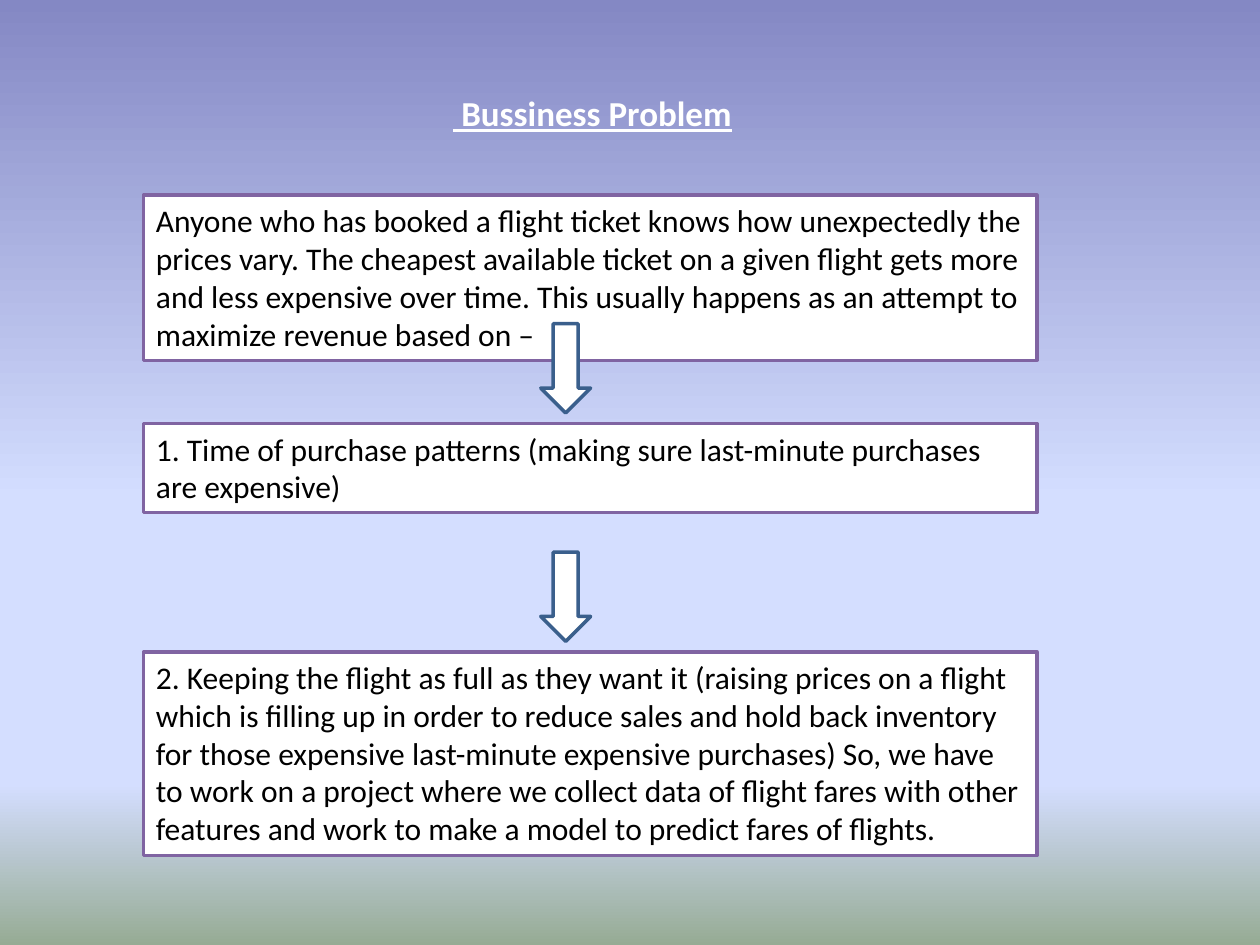
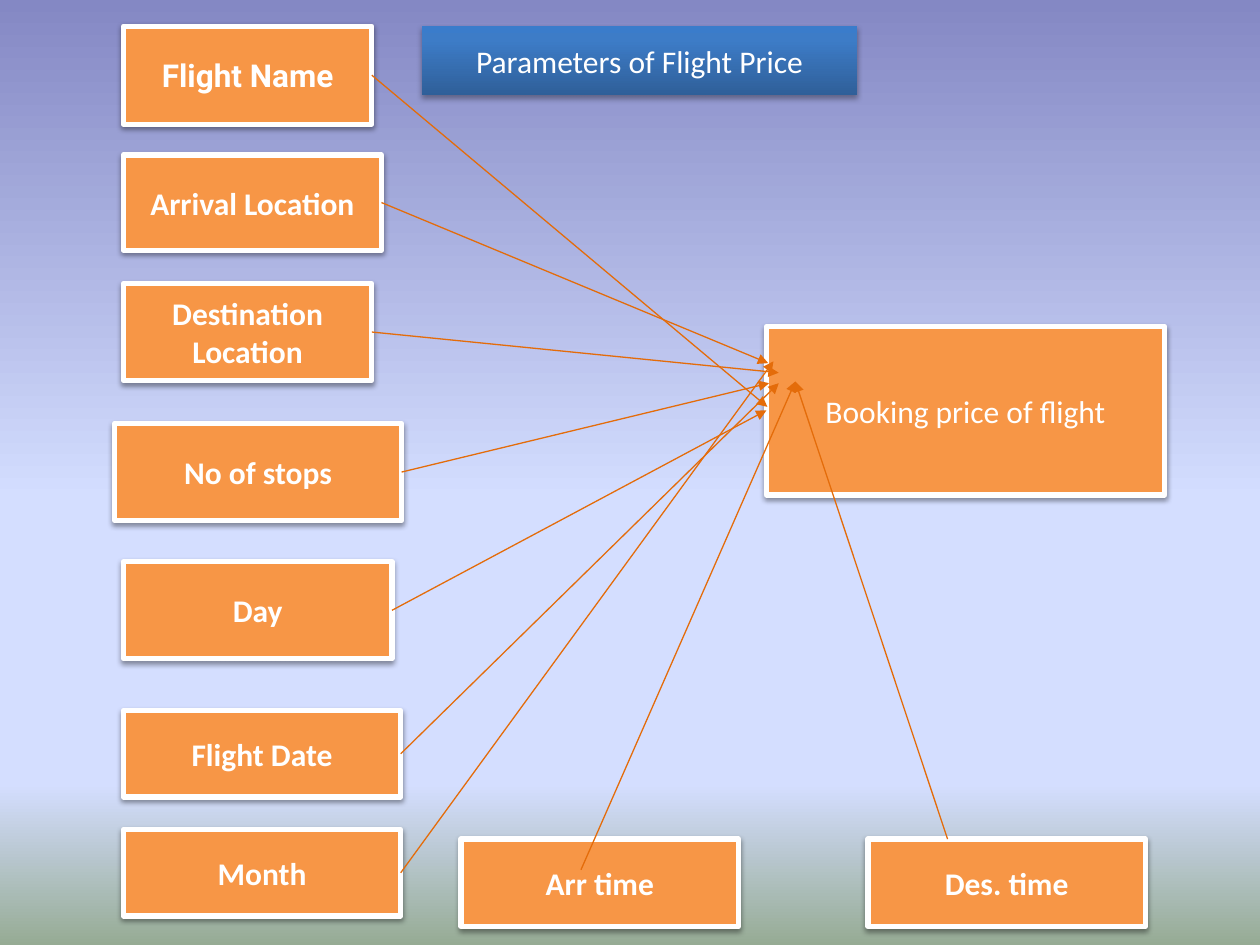
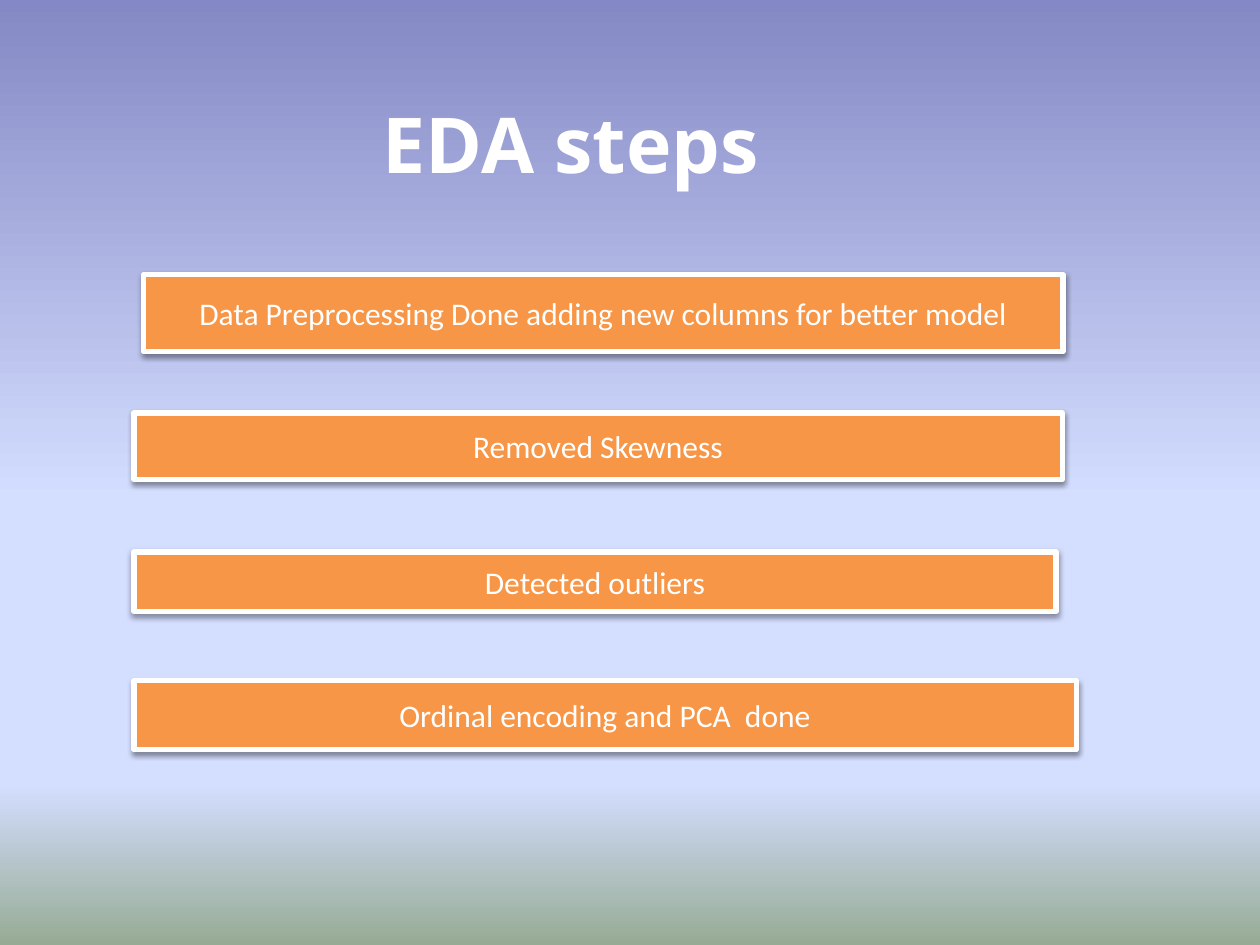
from lxml.etree import SubElement
from pptx import Presentation
from pptx.dml.color import RGBColor
from pptx.enum.shapes import MSO_CONNECTOR, MSO_SHAPE
from pptx.enum.text import MSO_ANCHOR, PP_ALIGN
from pptx.oxml.ns import qn
from pptx.util import Pt

COLORS = {
    "white": "FFFFFF", "black": "000000", "orange": "F79646",
    "arrow": "E46C0A", "purple": "8064A2", "blue": "3A5F8C",
}
SKY = [(0, "8488C4"), (53, "D4DEFF"), (83, "D4DEFF"), (100, "96AB94")]
BANNER = [(0, "2F5F99"), (80, "3D7CC7"), (100, "3A7CCB")]

PROBLEM_STEPS = [
    ("Anyone who has booked a flight ticket knows how unexpectedly the prices "
     "vary. The cheapest available ticket on a given flight gets more and less "
     "expensive over time. This usually happens as an attempt to maximize "
     "revenue based on –", 94.5),
    ("1. Time of purchase patterns (making sure last-minute purchases are "
     "expensive)", 51),
    ("2. Keeping the flight as full as they want it (raising prices on a flight "
     "which is filling up in order to reduce sales and hold back inventory for "
     "those expensive last-minute expensive purchases) So, we have to work on a "
     "project where we collect data of flight fares with other features and work "
     "to make a model to predict fares of flights.", 116.5),
]
# label, box (left, top, width, height), arrow tip, font
PARAMETERS = [
    ("Flight Name", (70.5, 15, 142, 56), (438.5, 232.5), "Roboto"),
    ("Arrival Location", (70.5, 88.5, 147.5, 54.5), (439, 207.5), "Calibri"),
    ("Destination Location", (70.5, 162, 142, 55.5), (445, 213), "Calibri"),
    ("No of stops", (65.5, 242, 164, 55.5), (439.5, 219), "Calibri"),
    ("Day", (70.5, 321, 153.5, 55.5), (438, 234.5), "Calibri"),
    ("Flight Date", (70.5, 406, 158.5, 49.5), (445, 219), "Calibri"),
    ("Month", (70.5, 474, 158.5, 49.5), (442, 206.5), "Calibri"),
]
# label, left, arrow start
TIMES = [("Arr time", 263.5, (332, 497)), ("Des. time", 496, (541.5, 479.5))]
TIMES_TIP = (454.5, 218)
EDA_STEPS = [
    ("Data Preprocessing Done adding new columns for better model",
     (82, 157, 525.5, 44)),
    ("Removed Skewness", (76.5, 236, 530.5, 38)),
    ("Detected outliers", (76.5, 315.5, 527, 34)),
    ("Ordinal encoding and PCA  done", (76.5, 389, 538.5, 39.5)),
]


def rgb(name):
    return RGBColor.from_string(COLORS[name])


def set_gradient(fill, owner, stops, angle):
    """Fill with stops of (percent, hex); the angle runs clockwise."""
    fill.gradient()
    grad = next(owner.iter(qn("a:gradFill")))
    for child in list(grad):
        grad.remove(child)
    gs_lst = SubElement(grad, qn("a:gsLst"))
    for percent, color in stops:
        gs = SubElement(gs_lst, qn("a:gs"), pos=str(percent * 1000))
        SubElement(gs, qn("a:srgbClr"), val=color)
    SubElement(grad, qn("a:lin"), ang=str(angle * 60000), scaled="0")


def add_shadow(sp, alpha, dist):
    effects = sp.element.spPr.find(qn("a:effectLst"))
    shadow = SubElement(effects, qn("a:outerShdw"), blurRad=str(Pt(3.1)),
                        dist=str(Pt(dist)), dir="5400000", rotWithShape="0")
    color = SubElement(shadow, qn("a:srgbClr"), val=COLORS["black"])
    SubElement(color, qn("a:alpha"), val=str(alpha * 1000))


def add_slide(prs):
    slide = prs.slides.add_slide(prs.slide_layouts[6])
    set_gradient(slide.background.fill, slide.element, SKY, 90)
    return slide


def write(sp, text, color="white", size=18, font="Calibri", bold=False,
          underline=False, align=PP_ALIGN.CENTER, anchor=MSO_ANCHOR.MIDDLE):
    tf = sp.text_frame
    tf.text = text
    tf.word_wrap = True
    tf.vertical_anchor = anchor
    p = tf.paragraphs[0]
    p.alignment = align
    f = p.runs[0].font
    f.name, f.size, f.bold, f.underline = font, Pt(size), bold, underline
    f.color.rgb = rgb(color)


def add_title(slide, box, text, **style):
    write(slide.shapes.add_textbox(*map(Pt, box)), text, bold=True, **style)


def add_box(slide, box, fill="white", line=None, width=2,
            kind=MSO_SHAPE.RECTANGLE):
    sp = slide.shapes.add_shape(kind, *map(Pt, box))
    sp.shadow.inherit = False
    sp.fill.solid()
    sp.fill.fore_color.rgb = rgb(fill)
    if line:
        sp.line.color.rgb = rgb(line)
        sp.line.width = Pt(width)
    else:
        sp.line.fill.background()
    return sp


def add_card(slide, box, text, **style):
    sp = add_box(slide, box, "orange", "white", 3)
    add_shadow(sp, 38, 1.6)
    write(sp, text, **style)


def add_banner(slide, box, text):
    sp = add_box(slide, box)
    set_gradient(sp.fill, sp.element, BANNER, 270)
    add_shadow(sp, 35, 1.8)
    write(sp, text)


def add_arrow(slide, start, tip):
    line = slide.shapes.add_connector(MSO_CONNECTOR.STRAIGHT,
                                      *map(Pt, start + tip))
    line.line.color.rgb = rgb("arrow")
    line.line.width = Pt(0.75)
    SubElement(line.line._get_or_add_ln(), qn("a:tailEnd"), type="triangle")
    SubElement(line.element.spPr, qn("a:effectLst"))


def build_problem(prs):
    slide = add_slide(prs)
    add_title(slide, (252, 49, 181.5, 31.5), " Bussiness Problem", size=20,
              underline=True, align=PP_ALIGN.LEFT, anchor=MSO_ANCHOR.TOP)
    top, pitch = 111.5, 130.5
    for i, (text, height) in enumerate(PROBLEM_STEPS):
        sp = add_box(slide, (82, top + i * pitch, 510.5, height),
                     line="purple")
        write(sp, text, "black", align=PP_ALIGN.LEFT, anchor=MSO_ANCHOR.TOP)
    for i in range(len(PROBLEM_STEPS) - 1):
        add_box(slide, (309, 185 + i * pitch, 28.5, 51), line="blue",
                kind=MSO_SHAPE.DOWN_ARROW)


def build_parameters(prs):
    slide = add_slide(prs)
    add_card(slide, (438, 186.5, 227.5, 96.5), "Booking price of flight")
    add_banner(slide, (241, 15, 249, 39.5), "Parameters of Flight Price")
    for text, box, tip, font in PARAMETERS:
        left, top, width, height = box
        add_card(slide, box, text, font=font, bold=True)
        add_arrow(slide, (left + width, top + height / 2), tip)
    for text, left, start in TIMES:
        add_card(slide, (left, 479.5, 158.5, 50), text, bold=True)
        add_arrow(slide, start, TIMES_TIP)


def build_eda(prs):
    slide = add_slide(prs)
    add_title(slide, (14.5, 29, 623.5, 104.5), "EDA steps", size=44,
              font="Open Sans")
    for text, box in EDA_STEPS:
        add_card(slide, box, text)


def main():
    prs = Presentation()
    prs.slide_width, prs.slide_height = Pt(720), Pt(540)
    build_problem(prs)
    build_parameters(prs)
    build_eda(prs)
    prs.save("out.pptx")


if __name__ == "__main__":
    main()
